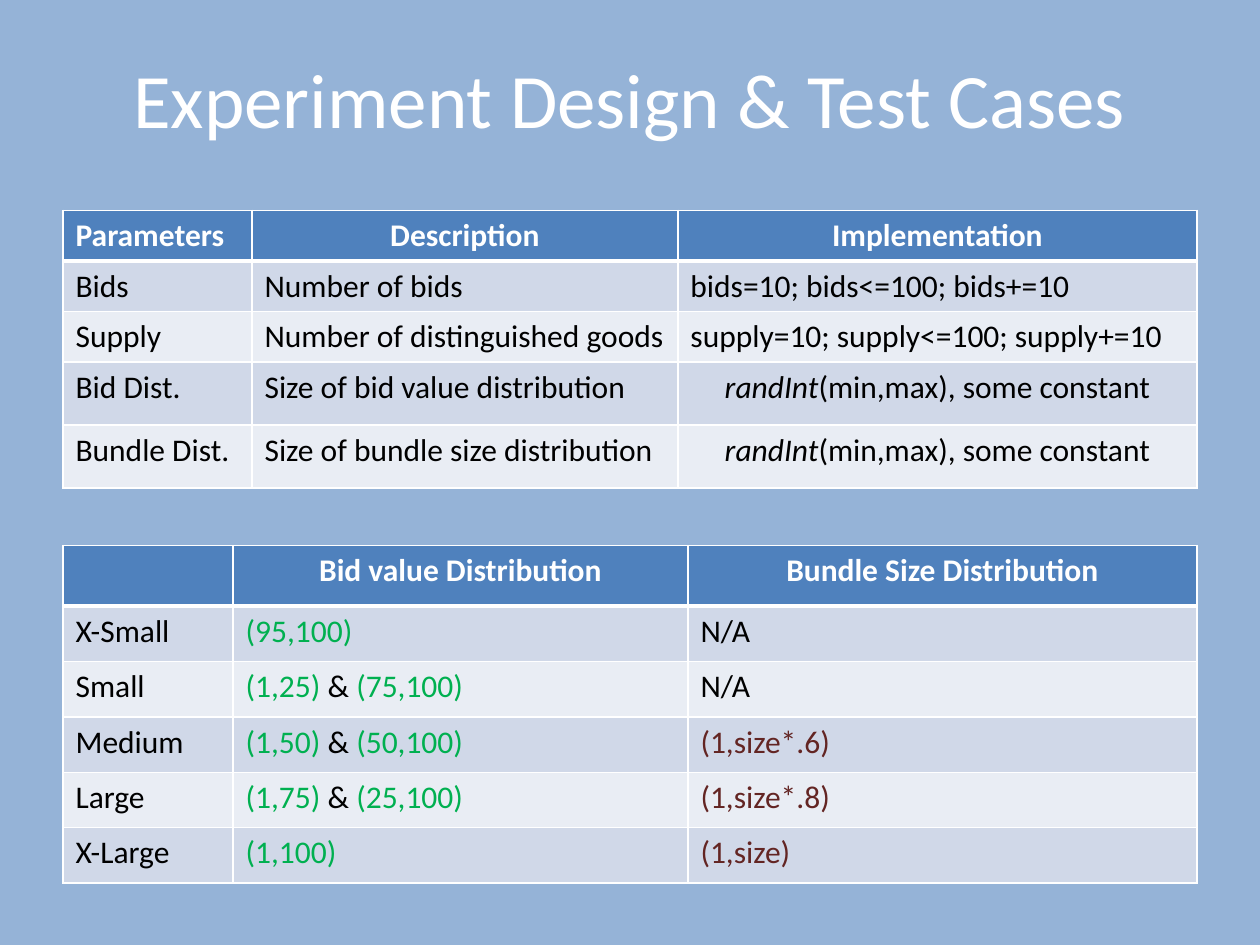
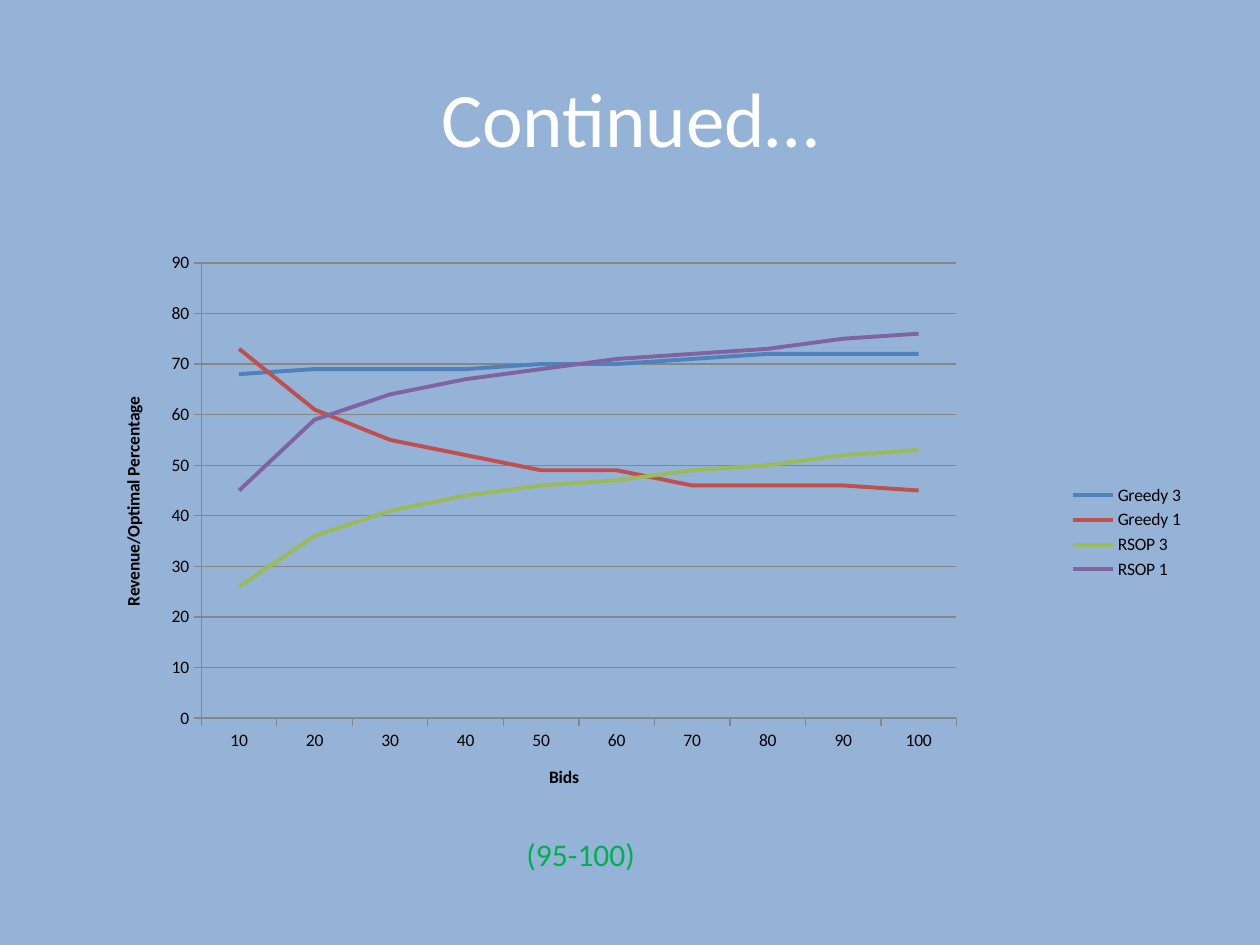
from dataclasses import dataclass

from lxml import etree
from pptx import Presentation
from pptx.chart.data import CategoryChartData
from pptx.dml.color import RGBColor
from pptx.enum.chart import XL_CHART_TYPE, XL_LEGEND_POSITION, XL_TICK_MARK
from pptx.enum.text import MSO_ANCHOR, PP_ALIGN
from pptx.oxml import parse_xml
from pptx.oxml.ns import nsdecls, qn
from pptx.util import Inches, Pt

LEFT, CENTER = PP_ALIGN.LEFT, PP_ALIGN.CENTER
MIDDLE = MSO_ANCHOR.MIDDLE
LINE_CHART = XL_CHART_TYPE.LINE
LEGEND_RIGHT = XL_LEGEND_POSITION.RIGHT
TICK_OUTSIDE = XL_TICK_MARK.OUTSIDE


@dataclass(frozen=True)
class Theme:
    """Colours, font and type sizes shared by the slides."""
    font: str = "Calibri"
    background: str = "95B3D7"
    white: str = "FFFFFF"
    black: str = "000000"
    header: str = "4F81BD"
    bands: tuple = ("D0D8E8", "E9EDF4")
    bid: str = "00B050"
    bundle: str = "632523"
    grid: str = "868686"
    series: tuple = ("4F81BD", "C0504D", "9BBB59", "8064A2")
    title_size: int = 44
    body_size: int = 18
    chart_size: int = 10
    rule: int = 1
    header_rule: int = 3
    series_width: float = 2.25


THEME = Theme()
WIDTH, HEIGHT = 10, 7.5
MARGIN = 0.05 * WIDTH
CONTENT_WIDTH = WIDTH - 2 * MARGIN
TITLE_TOP = 0.04 * HEIGHT

# Run styles: colour, bold, italic
STYLES = {
    "title": (THEME.white, False, False),
    "header": (THEME.white, True, False),
    "body": (THEME.black, False, False),
    "function": (THEME.black, False, True),
    "bid": (THEME.bid, False, False),
    "bundle": (THEME.bundle, False, False),
}


def bid_pair(first, second):
    """Return the runs of two bid ranges joined by an ampersand."""
    return [(first + " ", "bid"), ("&", "body"), (" " + second, "bid")]


RANDOM_VALUE = [("randInt", "function"), ("(min,max), some constant", "body")]

# A cell is plain text or a list of (text, style) runs.
PARAMETERS = {
    "top": 1.67,
    "columns": (1.5, 3.38, 4.12),
    "rows": (0.4, 0.4, 0.4, 0.5, 0.5),
    "cells": [
        ("Parameters", "Description", "Implementation"),
        ("Bids", "Number of bids", "bids=10; bids<=100; bids+=10"),
        ("Supply", "Number of distinguished goods",
         "supply=10; supply<=100; supply+=10"),
        ("Bid Dist.", "Size of bid value distribution", RANDOM_VALUE),
        ("Bundle Dist.", "Size of bundle size distribution", RANDOM_VALUE),
    ],
    "centred": {(0, 1), (0, 2), (3, 2), (4, 2)},
}
TEST_CASES = {
    "top": 4.33,
    "columns": (1.35, 3.61, 4.04),
    "rows": (0.48,) + (0.44,) * 5,
    "cells": [
        ("", "Bid value Distribution", "Bundle Size Distribution"),
        ("X-Small", [("(95,100)", "bid")], "N/A"),
        ("Small", bid_pair("(1,25)", "(75,100)"), "N/A"),
        ("Medium", bid_pair("(1,50)", "(50,100)"), [("(1,size*.6)", "bundle")]),
        ("Large", bid_pair("(1,75)", "(25,100)"), [("(1,size*.8)", "bundle")]),
        ("X-Large", [("(1,100)", "bid")], [("(1,size)", "bundle")]),
    ],
    "centred": {(0, 1), (0, 2)},
}
REVENUE = {
    "box": (MARGIN, 1.75, CONTENT_WIDTH, 0.66 * HEIGHT),
    "plot": {"x": 0.122, "y": 0.068, "w": 0.666, "h": 0.73},
    "category_title": "Bids",
    "value_title": "Revenue/Optimal Percentage",
    "categories": [str(bids) for bids in range(10, 101, 10)],
    "series": {
        "Greedy 3": (68, 69, 69, 69, 70, 70, 71, 72, 72, 72),
        "Greedy 1": (73, 61, 55, 52, 49, 49, 46, 46, 46, 45),
        "RSOP 3": (26, 36, 41, 44, 46, 47, 49, 50, 52, 53),
        "RSOP 1": (45, 59, 64, 67, 69, 71, 72, 73, 75, 76),
    },
}
CAPTION = "(95-100)"
CAPTION_BOX = (4.08, 6.58, 1.08, 0.4)


def colour(value):
    """Turn a hex string into a colour."""
    return RGBColor.from_string(value)


def style_font(font, size, value, bold=False, italic=False):
    """Set the face, size, colour and weight of a font."""
    font.name, font.size = THEME.font, Pt(size)
    font.bold, font.italic = bold, italic
    font.color.rgb = colour(value)


def add_runs(paragraph, runs, size, alignment=LEFT):
    """Fill a paragraph with styled runs."""
    paragraph.alignment = alignment
    for text, style in runs:
        run = paragraph.add_run()
        run.text = text
        style_font(run.font, size, *STYLES[style])


def add_text(slide, box, text, style, size, alignment=LEFT, wrap=True):
    """Add a text box holding one run."""
    shape = slide.shapes.add_textbox(*(Inches(length) for length in box))
    frame = shape.text_frame
    frame.word_wrap = wrap
    if alignment == CENTER:
        frame.vertical_anchor = MIDDLE
    add_runs(frame.paragraphs[0], [(text, style)], size, alignment)


def add_slide(presentation, title, title_height):
    """Add a blank slide with the shared background and title."""
    slide = presentation.slides.add_slide(presentation.slide_layouts[6])
    slide.background.fill.solid()
    slide.background.fill.fore_color.rgb = colour(THEME.background)
    add_text(slide, (MARGIN, TITLE_TOP, CONTENT_WIDTH, title_height),
             title, "title", THEME.title_size, CENTER)
    return slide


def set_borders(cell, row):
    """Rule a cell in white, with a thick line below the header."""
    widths = {"L": THEME.rule, "R": THEME.rule,
              "T": THEME.header_rule if row == 1 else THEME.rule,
              "B": THEME.header_rule if row == 0 else THEME.rule}
    properties = cell._tc.get_or_add_tcPr()
    for side, width in widths.items():
        properties.append(parse_xml(
            f'<a:ln{side} {nsdecls("a")} w="{Pt(width)}"><a:solidFill>'
            f'<a:srgbClr val="{THEME.white}"/></a:solidFill></a:ln{side}>'))


def add_grid(slide, content):
    """Add a table with a header row and banded body rows."""
    columns, rows = content["columns"], content["rows"]
    table = slide.shapes.add_table(
        len(rows), len(columns), Inches(MARGIN), Inches(content["top"]),
        Inches(sum(columns)), Inches(sum(rows))).table
    for column, width in zip(table.columns, columns):
        column.width = Inches(width)
    for row, height in zip(table.rows, rows):
        row.height = Inches(height)
    for row, entries in enumerate(content["cells"]):
        fill = THEME.bands[(row - 1) % 2] if row else THEME.header
        for column, entry in enumerate(entries):
            cell = table.cell(row, column)
            set_borders(cell, row)
            cell.fill.solid()
            cell.fill.fore_color.rgb = colour(fill)
            if isinstance(entry, str):
                entry = [(entry, "body" if row else "header")] if entry else []
            centred = (row, column) in content["centred"]
            add_runs(cell.text_frame.paragraphs[0], entry, THEME.body_size,
                     CENTER if centred else LEFT)


def set_plot_area(chart, shares):
    """Fix the inner plot area as shares of the chart."""
    plot_area = chart._chartSpace.chart.plotArea
    for old in plot_area.findall(qn("c:layout")):
        plot_area.remove(old)
    layout = etree.Element(qn("c:layout"))
    manual = etree.SubElement(layout, qn("c:manualLayout"))
    settings = {"layoutTarget": "inner", "xMode": "edge", "yMode": "edge"}
    for name, value in {**settings, **shares}.items():
        etree.SubElement(manual, qn(f"c:{name}")).set("val", str(value))
    plot_area.insert(0, layout)


def style_axis(axis, title):
    """Give an axis its title, labels, outside ticks and grey line."""
    paragraph = axis.axis_title.text_frame.paragraphs[0]
    run = paragraph.add_run()
    run.text = title
    style_font(run.font, THEME.chart_size, THEME.black, bold=True)
    style_font(axis.tick_labels.font, THEME.chart_size, THEME.black)
    axis.major_tick_mark = TICK_OUTSIDE
    axis.format.line.color.rgb = colour(THEME.grid)


def add_line_chart(slide, content):
    """Add the line chart with its axes and legend."""
    data = CategoryChartData(number_format="0")
    data.categories = content["categories"]
    for name, values in content["series"].items():
        data.add_series(name, values)
    box = (Inches(length) for length in content["box"])
    chart = slide.shapes.add_chart(LINE_CHART, *box, data).chart
    style_font(chart.font, THEME.chart_size, THEME.black)
    chart.has_title = False
    chart.has_legend = True
    chart.legend.position = LEGEND_RIGHT
    chart.legend.include_in_layout = False
    style_font(chart.legend.font, THEME.chart_size, THEME.black)
    chart.plots[0].vary_by_categories = False
    for series, value in zip(chart.plots[0].series, THEME.series):
        series.smooth = False
        series.format.line.color.rgb = colour(value)
        series.format.line.width = Pt(THEME.series_width)
    style_axis(chart.category_axis, content["category_title"])
    style_axis(chart.value_axis, content["value_title"])
    chart.value_axis.minimum_scale = 0
    chart.value_axis.maximum_scale = 90
    chart.value_axis.major_unit = 10
    chart.value_axis.has_major_gridlines = True
    gridlines = chart.value_axis.major_gridlines
    gridlines.format.line.color.rgb = colour(THEME.grid)
    set_plot_area(chart, content["plot"])


def main():
    """Build both slides and save them."""
    presentation = Presentation()
    presentation.slide_width = Inches(WIDTH)
    presentation.slide_height = Inches(HEIGHT)

    design = add_slide(presentation, "Experiment Design & Test Cases", 0.95)
    for content in (PARAMETERS, TEST_CASES):
        add_grid(design, content)

    results = add_slide(presentation, "Continued…", 1.25)
    add_line_chart(results, REVENUE)
    add_text(results, CAPTION_BOX, CAPTION, "bid", THEME.body_size, wrap=False)

    presentation.save("out.pptx")


main()
